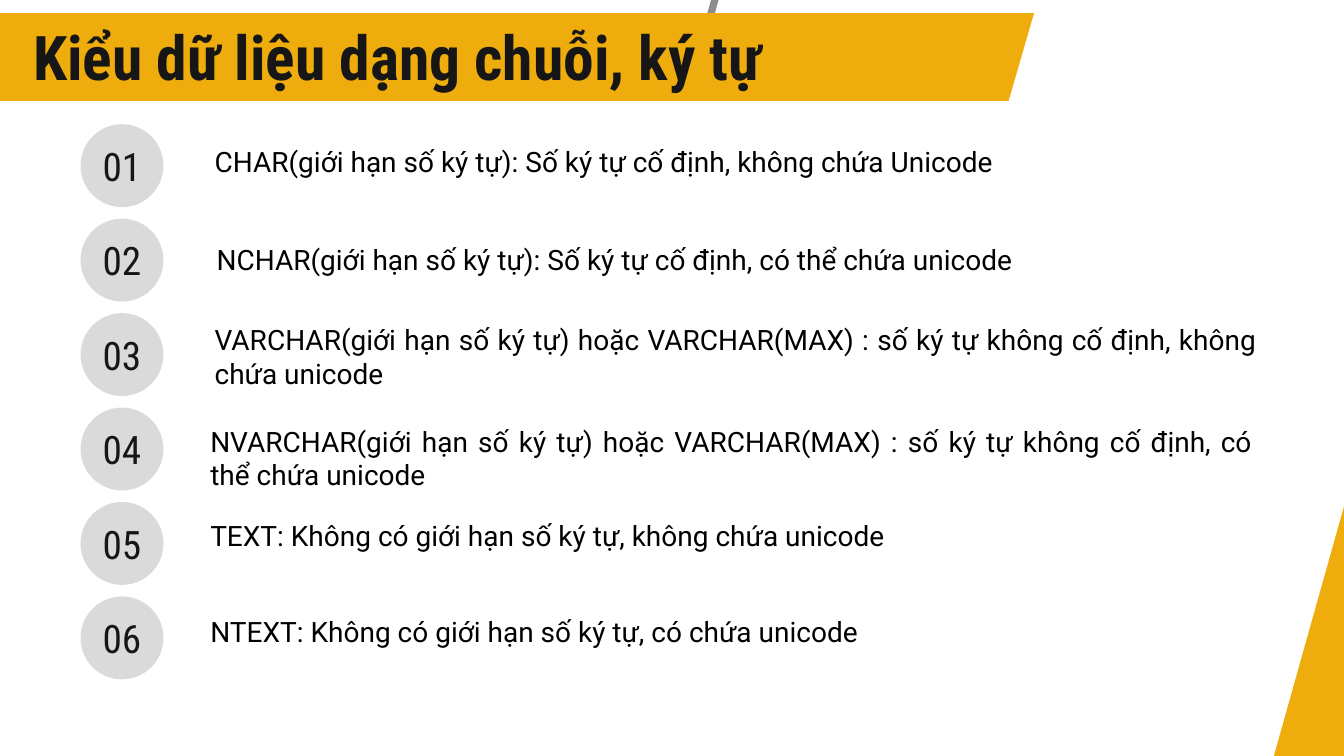
from pptx import Presentation
from pptx.dml.color import RGBColor
from pptx.enum import shapes, text
from pptx.util import Cm, Pt

GOLD = RGBColor(0xEE, 0xAC, 0x0D)
GREY = RGBColor(0x8C, 0x8C, 0x8C)
PALE = RGBColor(0xDA, 0xDA, 0xDA)
INK = RGBColor(0x16, 0x16, 0x16)
BLACK = RGBColor(0, 0, 0)

HEAD = "Roboto Condensed"
BODY = "Roboto"

FIRST, STEP, SIZE = 3.13, 2.38, 2.09  # number circles, in cm

# left, top, width and height in cm, then wording
ITEMS = [
    (5.16, 3.51, 25.83, 1.12,
     "CHAR(giới hạn số ký tự): Số ký tự cố định, không chứa Unicode"),
    (5.21, 5.98, 25.83, 1.12,
     "NCHAR(giới hạn số ký tự): Số ký tự cố định, có thể chứa unicode"),
    (5.16, 8, 26.77, 1.96,
     "VARCHAR(giới hạn số ký tự) hoặc VARCHAR(MAX) : "
     "số ký tự không cố định, không chứa unicode"),
    (5.05, 10.56, 26.77, 1.96,
     "NVARCHAR(giới hạn số ký tự) hoặc VARCHAR(MAX) : "
     "số ký tự không cố định, có thể chứa unicode"),
    (5.05, 12.93, 26.77, 1.12,
     "TEXT: Không có giới hạn số ký tự, không chứa unicode"),
    (5.05, 15.37, 26.77, 1.12,
     "NTEXT: Không có giới hạn số ký tự, có chứa unicode"),
]


def style(para, name, size, color, align, bold=False):
    para.alignment = align
    font = para.font
    font.name, font.size, font.bold = name, Pt(size), bold
    font.color.rgb = color


def add_form(slide, kind, box, color):
    form = slide.shapes.add_shape(kind, *map(Cm, box))
    form.shadow.inherit = False
    form.fill.solid()
    form.fill.fore_color.rgb = color
    form.line.fill.background()
    return form


def add_slant(slide, box, color, slant=0.75):
    form = add_form(slide, shapes.MSO_SHAPE.PARALLELOGRAM, box, color)
    form.adjustments[0] = slant


def set_title(slide, words):
    title = slide.shapes.title
    title.left, title.top = Cm(0.58), Cm(0.36)
    title.width, title.height = Cm(24.54), Cm(2.13)
    frame = title.text_frame
    frame.text = words
    frame.word_wrap = True
    frame.auto_size = text.MSO_AUTO_SIZE.NONE
    frame.vertical_anchor = text.MSO_ANCHOR.TOP
    style(frame.paragraphs[0], HEAD, 44, INK, text.PP_ALIGN.LEFT, True)
    # Bring the title in front of the gold band
    slide.shapes._spTree.append(title._element)


def add_number(slide, row):
    box = (2.03, FIRST + row * STEP, SIZE, SIZE)
    disc = add_form(slide, shapes.MSO_SHAPE.OVAL, box, PALE)
    frame = disc.text_frame
    frame.text = f"{row + 1:02}"
    frame.word_wrap = False
    frame.margin_left = frame.margin_right = 0
    frame.vertical_anchor = text.MSO_ANCHOR.MIDDLE
    style(frame.paragraphs[0], HEAD, 28, INK, text.PP_ALIGN.CENTER)


def add_item(slide, box, words):
    frame = slide.shapes.add_textbox(*map(Cm, box)).text_frame
    frame.text = words
    frame.word_wrap = True
    style(frame.paragraphs[0], BODY, 20, BLACK, text.PP_ALIGN.JUSTIFY)


def main():
    deck = Presentation()
    deck.slide_width, deck.slide_height = Cm(33.87), Cm(19.05)
    slide = deck.slides.add_slide(deck.slide_layouts[5])
    add_slant(slide, (17.35, 0, 0.76, 2.03), GREY)
    add_slant(slide, (29.72, 8.48, 7.14, 19.05), GOLD)
    add_slant(slide, (-2.44, 0.33, 28.5, 2.21), GOLD, 0.29)
    set_title(slide, "Kiểu dữ liệu dạng chuỗi, ký tự")
    for row, (*box, words) in enumerate(ITEMS):
        add_number(slide, row)
        add_item(slide, box, words)
    deck.save("out.pptx")


if __name__ == "__main__":
    main()
